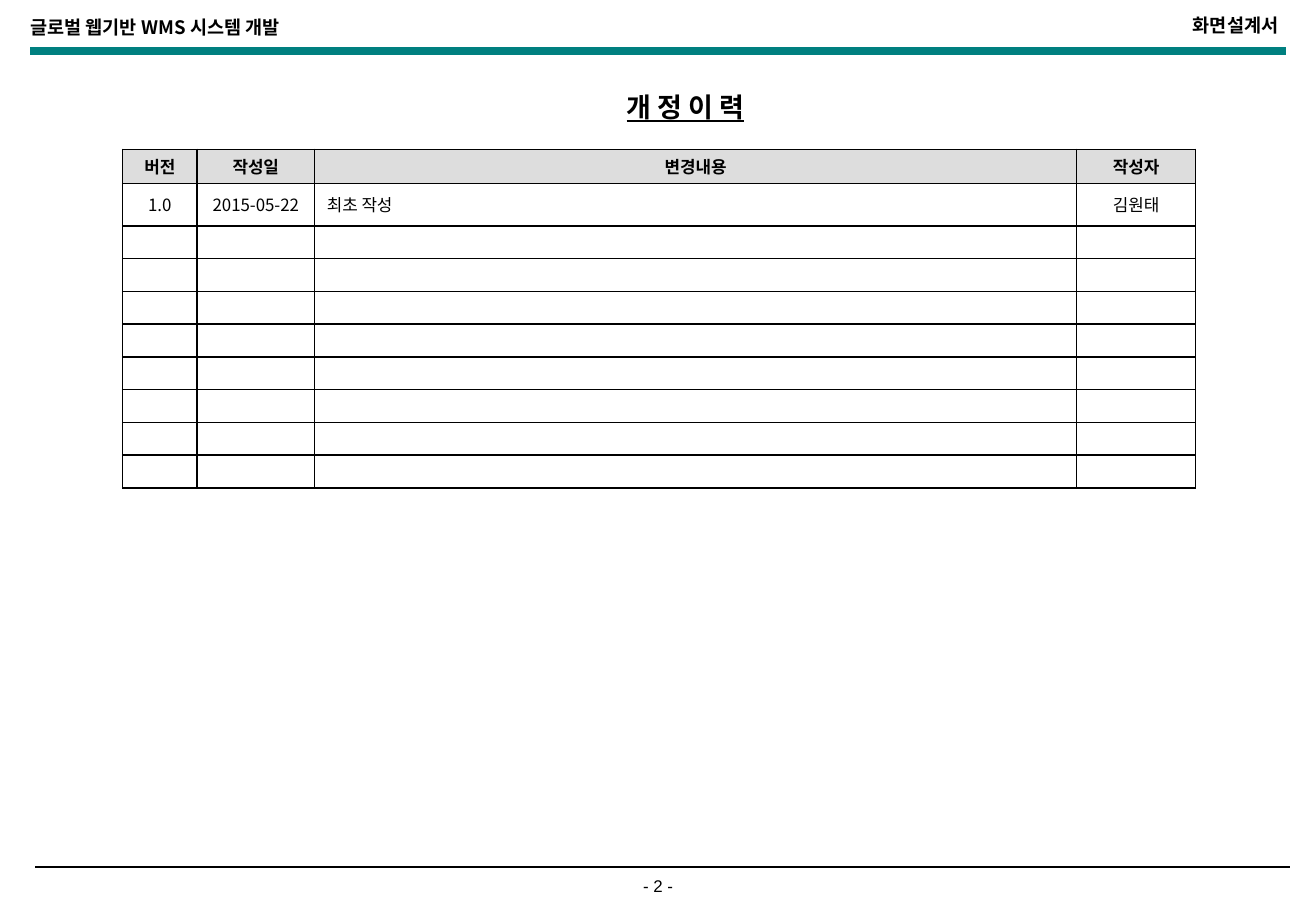
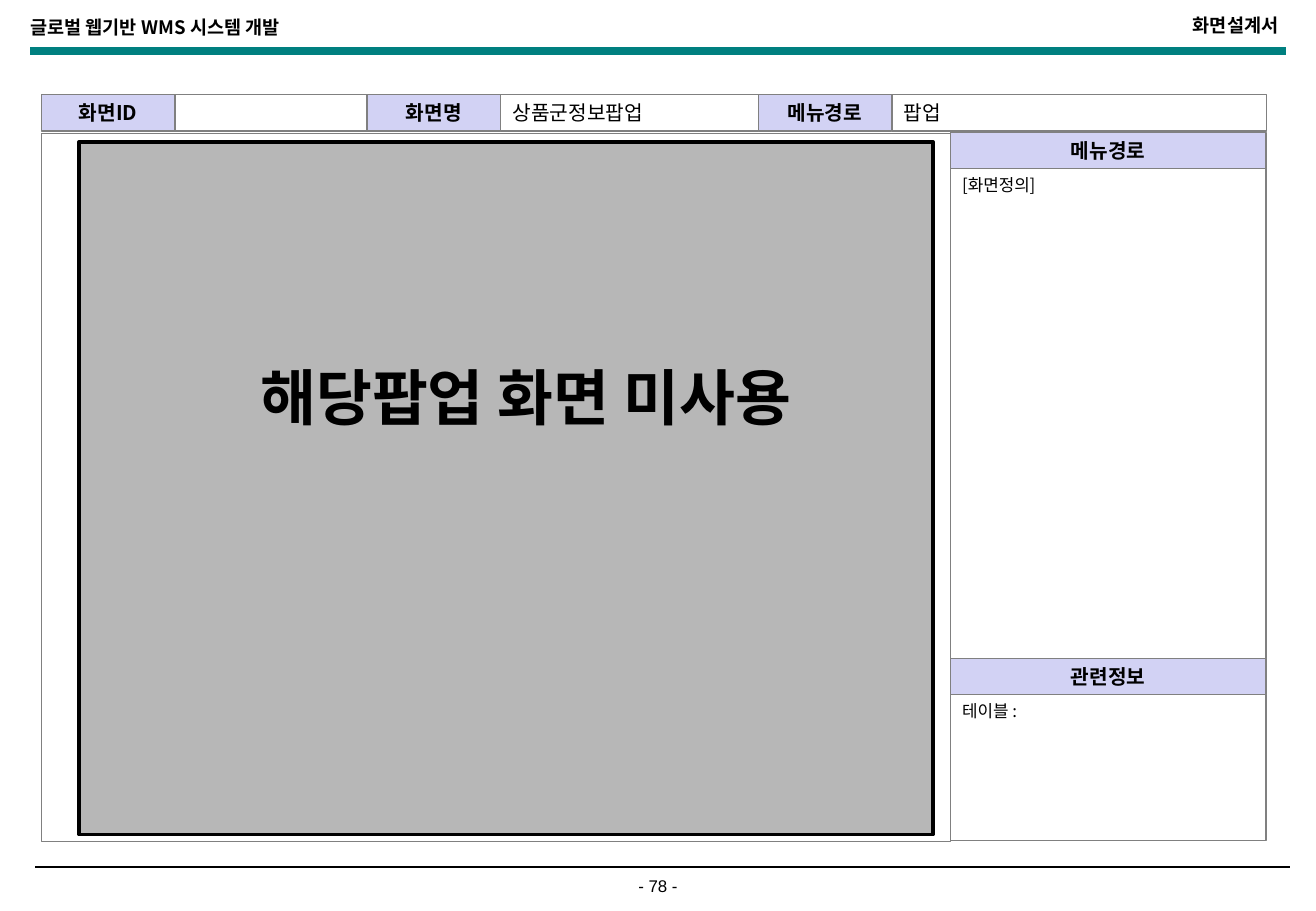
from lxml import etree
from pptx import Presentation
from pptx.dml.color import RGBColor
from pptx.enum.shapes import MSO_CONNECTOR, MSO_SHAPE
from pptx.enum.text import MSO_ANCHOR, PP_ALIGN
from pptx.oxml.ns import qn
from pptx.util import Inches, Pt

BLACK = RGBColor(0x00, 0x00, 0x00)
WHITE = RGBColor(0xFF, 0xFF, 0xFF)
TEAL = RGBColor(0x00, 0x80, 0x80)
GRAY = RGBColor(0x80, 0x80, 0x80)
HEADER_GRAY = RGBColor(0xDD, 0xDD, 0xDD)
MASK_GRAY = RGBColor(0xA6, 0xA6, 0xA6)
LAVENDER = RGBColor(0xD2, 0xD2, 0xF4)

KOREAN_FONT = "Noto Sans CJK KR"
PAGE_FONT = "Arial"
LEFT, CENTER, RIGHT = PP_ALIGN.LEFT, PP_ALIGN.CENTER, PP_ALIGN.RIGHT
TOP, MIDDLE = MSO_ANCHOR.TOP, MSO_ANCHOR.MIDDLE
RECTANGLE = MSO_SHAPE.RECTANGLE
STRAIGHT = MSO_CONNECTOR.STRAIGHT


def write_text(frame, text, size=12, bold=False, underline=False,
               align=LEFT, font=KOREAN_FONT):
    para = frame.paragraphs[0]
    para.alignment = align
    span = para.add_run()
    span.text = text
    span.font.name = font
    span.font.size = Pt(size)
    span.font.bold = bold
    span.font.underline = underline
    span.font.color.rgb = BLACK
    east_asian = etree.SubElement(span.font._element, qn("a:ea"))
    east_asian.set("typeface", font)


def add_text(page, text, left, top, width, height, wrap=True, anchor=TOP,
             **text_format):
    box = page.shapes.add_textbox(Inches(left), Inches(top),
                                  Inches(width), Inches(height))
    box.text_frame.word_wrap = wrap
    box.text_frame.vertical_anchor = anchor
    write_text(box.text_frame, text, **text_format)


def add_line(page, left, right, height, color, weight):
    line = page.shapes.add_connector(STRAIGHT, Inches(left), Inches(height),
                                     Inches(right), Inches(height))
    line.line.color.rgb = color
    line.line.width = Pt(weight)
    etree.SubElement(line._element.spPr, qn("a:effectLst"))


def add_panel(page, left, top, width, height, text="", fill=WHITE,
              line=GRAY, weight=0.75, **text_format):
    panel = page.shapes.add_shape(RECTANGLE, Inches(left), Inches(top),
                                  Inches(width), Inches(height))
    panel.shadow.inherit = False
    panel.fill.solid()
    panel.fill.fore_color.rgb = fill
    panel.line.color.rgb = line
    panel.line.width = Pt(weight)
    panel.text_frame.vertical_anchor = TOP
    if text:
        write_text(panel.text_frame, text, **text_format)
    return panel


def add_label(page, left, top, width, height, text):
    add_panel(page, left, top, width, height, text, fill=LAVENDER,
              bold=True, align=CENTER)


def set_opacity(shape, percent):
    color = shape._element.spPr.find(qn("a:solidFill"))[0]
    etree.SubElement(color, qn("a:alpha")).set("val", str(percent * 1000))


def draw_borders(cell, color, weight):
    properties = cell._tc.get_or_add_tcPr()
    for side in ("lnL", "lnR", "lnT", "lnB"):
        border = etree.SubElement(properties, qn(f"a:{side}"))
        border.set("w", str(Pt(weight)))
        fill = etree.SubElement(border, qn("a:solidFill"))
        etree.SubElement(fill, qn("a:srgbClr")).set("val", str(color))


def fill_cell(cell, text, header, align):
    draw_borders(cell, BLACK, 1)
    cell.vertical_anchor = MIDDLE
    cell.margin_top = cell.margin_bottom = Inches(0.04)
    if header:
        cell.fill.solid()
        cell.fill.fore_color.rgb = HEADER_GRAY
    else:
        cell.fill.background()
    if text:
        write_text(cell.text_frame, text, size=10, bold=header, align=align)
    else:
        para = cell.text_frame.paragraphs[0]
        etree.SubElement(para._p, qn("a:endParaRPr")).set("sz", "800")


def add_table(page, left, top, widths, heights, rows):
    frame = page.shapes.add_table(len(heights), len(widths), Inches(left),
                                  Inches(top), Inches(sum(widths)),
                                  Inches(sum(heights)))
    table = frame.table
    table.first_row = table.horz_banding = False
    for column, width in zip(table.columns, widths):
        column.width = Inches(width)
    for row, height in zip(table.rows, heights):
        row.height = Inches(height)
    for row_index in range(len(heights)):
        for column_index in range(len(widths)):
            text = rows[row_index][column_index] if row_index < len(rows) else ""
            header = row_index == 0
            align = LEFT if column_index == 2 and not header else CENTER
            fill_cell(table.cell(row_index, column_index), text, header, align)


def add_page(deck, number):
    page = deck.slides.add_slide(deck.slide_layouts[6])
    add_text(page, "글로벌 웹기반 WMS 시스템 개발", 0.15, 0.08, 5.26, 0.37,
             size=11, bold=True)
    add_text(page, "화면설계서", 7.09, 0.07, 3.53, 0.37,
             size=11, bold=True, align=RIGHT)
    add_line(page, 0.25, 10.58, 0.42, TEAL, 4.5)
    add_line(page, 0.29, 10.62, 7.14, BLACK, 1)
    add_text(page, f"- {number} -", 4.95, 7.16, 0.93, 0.27,
             size=10, align=CENTER, font=PAGE_FONT)
    return page


def build_revision_page(deck):
    page = add_page(deck, 2)
    add_text(page, "개 정 이 력", 4.93, 0.69, 1.42, 0.37, wrap=False,
             anchor=MIDDLE, size=16, bold=True, underline=True, align=CENTER)
    rows = [
        ("버전", "작성일", "변경내용", "작성자"),
        ("1.0", "2015-05-22", "최초 작성", "김원태"),
    ]
    add_table(page, 1.01, 1.23, [0.61, 0.97, 6.27, 0.98],
              [0.28, 0.35] + [0.27] * 8, rows)


def build_screen_page(deck):
    page = add_page(deck, 78)
    label_width, label_height = 1.1, 0.3

    left = 0.34
    fields = [("화면ID", "", 1.58), ("화면명", "상품군정보팝업", 2.12),
              ("메뉴경로", "팝업", 3.08)]
    for name, value, width in fields:
        add_label(page, left, 0.78, label_width, label_height, name)
        left += label_width
        add_panel(page, left, 0.78, width, label_height, value)
        left += width

    top = 1.09
    sections = [("메뉴경로", "[화면정의]", 4.03), ("관련정보", "테이블 :", 1.2)]
    for name, content, height in sections:
        add_label(page, 7.82, top, 2.6, label_height, name)
        top += label_height
        add_panel(page, 7.82, top, 2.6, height, content, size=10)
        top += height

    add_panel(page, 0.34, 1.1, 7.48, 5.83)
    mask = add_panel(page, 0.65, 1.17, 7.03, 5.7, fill=MASK_GRAY,
                     line=BLACK, weight=2)
    set_opacity(mask, 80)
    add_text(page, "해당팝업 화면 미사용", 1.67, 2.91, 5.31, 0.71,
             size=36, bold=True, align=CENTER)


def main():
    deck = Presentation()
    deck.slide_width = Inches(10.83)
    deck.slide_height = Inches(7.5)
    build_revision_page(deck)
    build_screen_page(deck)
    deck.save("out.pptx")


if __name__ == "__main__":
    main()
